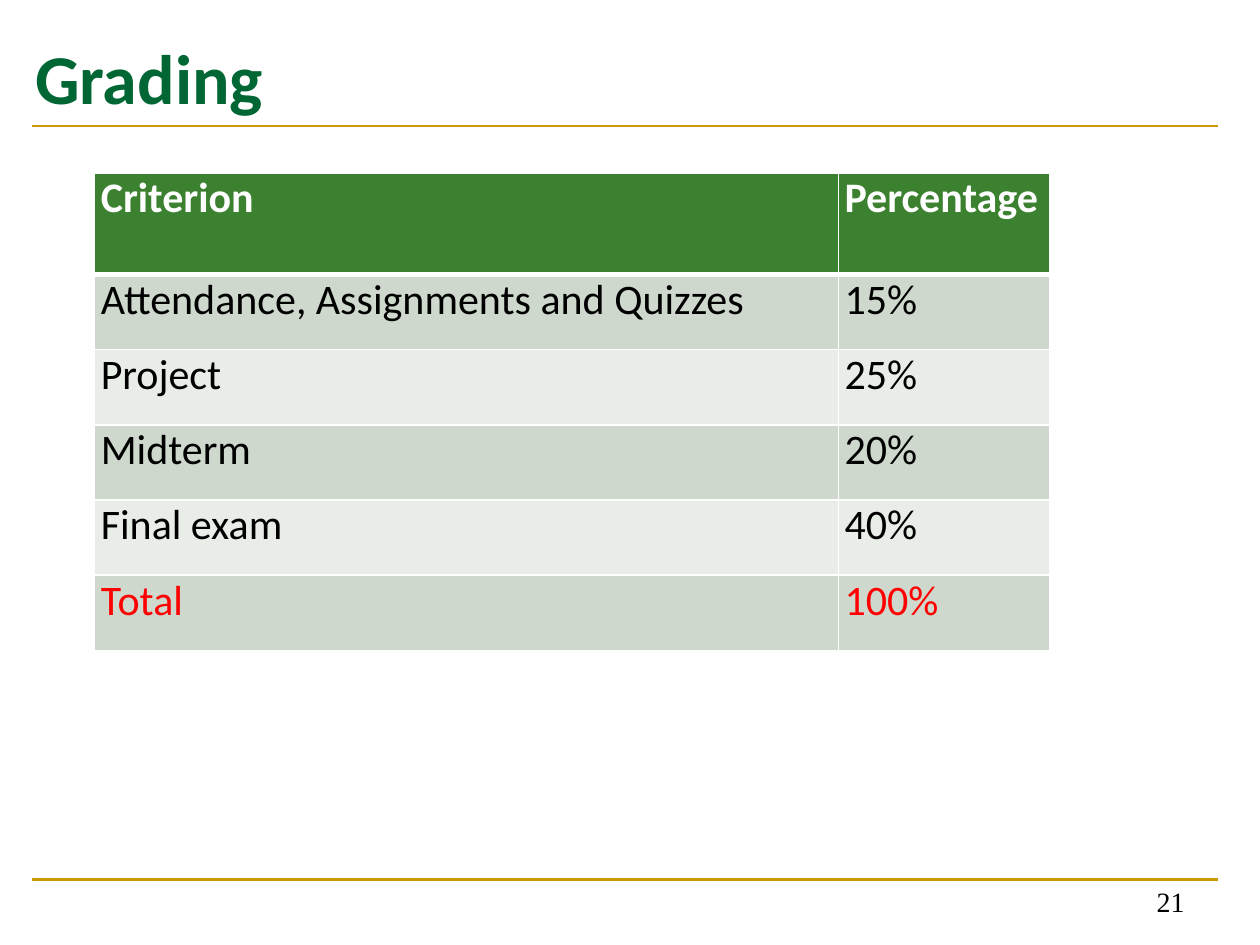
from lxml.etree import SubElement
from pptx import Presentation
from pptx.dml.color import RGBColor
from pptx.enum.shapes import MSO_CONNECTOR
from pptx.enum.text import MSO_ANCHOR, PP_ALIGN
from pptx.oxml.ns import qn
from pptx.util import Pt

GRADES = [
    ("Criterion", "Percentage"),
    ("Attendance, Assignments and Quizzes", "15%"),
    ("Project", "25%"),
    ("Midterm", "20%"),
    ("Final exam", "40%"),
    ("Total", "100%"),
]


def rgb(color):
    return RGBColor.from_string(color)


def style(p, size, color, bold=False, font="Calibri"):
    for r in p.runs:
        r.font.name = font
        r.font.size = Pt(size)
        r.font.bold = bold
        r.font.color.rgb = rgb(color)


def add_text(s, text, x, y, w, h, anchor, align):
    tf = s.shapes.add_textbox(Pt(x), Pt(y), Pt(w), Pt(h)).text_frame
    tf.word_wrap = True
    tf.vertical_anchor = anchor
    tf.text = text
    p = tf.paragraphs[0]
    p.alignment = align
    return p


def add_rule(s, x, y, w):
    line = s.shapes.add_connector(
        MSO_CONNECTOR.STRAIGHT, Pt(x), Pt(y), Pt(x + w), Pt(y))
    line.line.color.rgb = rgb("CC9900")
    line.line.width = Pt(1.5)
    SubElement(line._element.spPr, qn("a:effectLst"))


def add_title(s, x, y, w, h):
    p = add_text(s, "Grading", x, y, w, h, MSO_ANCHOR.TOP, PP_ALIGN.LEFT)
    style(p, 40, "006633", bold=True)


def add_page_number(s, x, y, w, h):
    p = add_text(s, "21", x, y, w, h, MSO_ANCHOR.BOTTOM, PP_ALIGN.RIGHT)
    style(p, 16, "000000", font="Times New Roman")


def set_borders(cell, top, bottom):
    tcPr = cell._tc.get_or_add_tcPr()
    widths = {"a:lnL": 1, "a:lnR": 1, "a:lnT": top, "a:lnB": bottom}
    for tag, width in widths.items():
        ln = SubElement(tcPr, qn(tag), w=str(Pt(width)))
        fill = SubElement(ln, qn("a:solidFill"))
        SubElement(fill, qn("a:srgbClr"), val="FFFFFF")


def add_grades(s, x, y, w, h):
    header_h, value_w = 58, 121
    last = len(GRADES) - 1
    table = s.shapes.add_table(
        len(GRADES), 2, Pt(x), Pt(y), Pt(w), Pt(h)).table
    table.columns[0].width = Pt(w - value_w)
    table.columns[1].width = Pt(value_w)
    for i, texts in enumerate(GRADES):
        table.rows[i].height = Pt(header_h if i == 0 else (h - header_h) / last)
        fill = "3B812F" if i == 0 else "CED8CD" if i % 2 else "E8EDE8"
        color = {0: "FFFFFF", last: "FF0000"}.get(i, "000000")
        for j, text in enumerate(texts):
            cell = table.cell(i, j)
            cell.margin_left = cell.margin_right = Pt(3.6)
            cell.margin_top = cell.margin_bottom = Pt(0)
            set_borders(cell, 3 if i == 1 else 1, 3 if i == 0 else 1)
            cell.fill.solid()
            cell.fill.fore_color.rgb = rgb(fill)
            cell.text_frame.text = text
            style(cell.text_frame.paragraphs[0], 24, color, bold=i == 0)


def main():
    prs = Presentation()
    prs.slide_width, prs.slide_height = Pt(720), Pt(540)
    s = prs.slides.add_slide(prs.slide_layouts[6])
    for y in (72, 502.5):
        add_rule(s, 18, y, 678)
    add_title(s, 13, 16, 688, 84)
    add_grades(s, 54, 98.8, 546, 273)
    add_page_number(s, 516, 492, 168, 36)
    prs.save("out.pptx")


if __name__ == "__main__":
    main()
